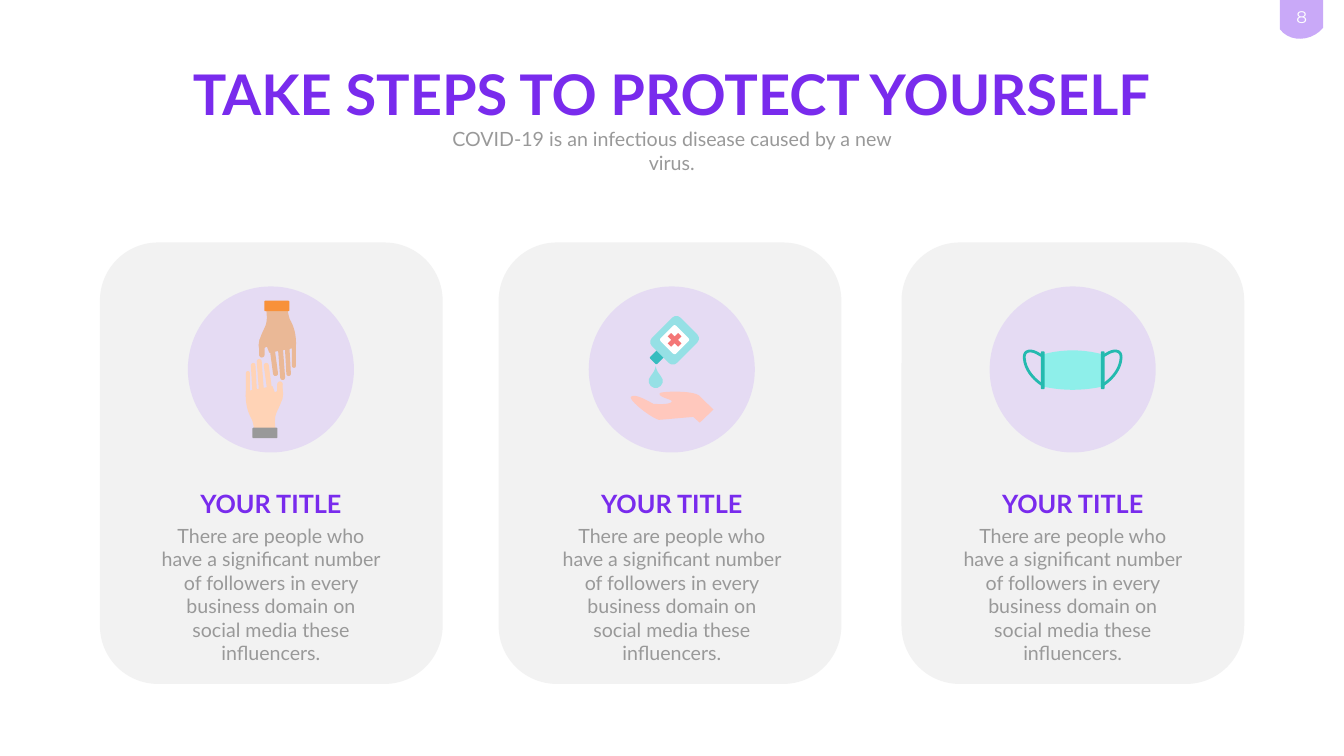
from math import atan2, degrees, hypot
from lxml.etree import SubElement
from pptx import Presentation
from pptx.dml.color import RGBColor
from pptx.enum.shapes import MSO_SHAPE
from pptx.enum.text import MSO_AUTO_SIZE, PP_ALIGN
from pptx.oxml.ns import qn
from pptx.util import Cm, Pt

PURPLE = RGBColor(0x79, 0x2B, 0xED)
LILAC = RGBColor(0xC9, 0xA9, 0xF8)
GRAY = RGBColor(0x99, 0x99, 0x99)
CARD = RGBColor(0xF2, 0xF2, 0xF2)
WHITE = RGBColor(0xFF, 0xFF, 0xFF)
TAN = RGBColor(0xEA, 0xB8, 0x96)
PEACH = RGBColor(0xFF, 0xD3, 0xB6)
ORANGE = RGBColor(0xF8, 0x91, 0x3A)
PINK = RGBColor(0xFF, 0xC8, 0xBD)
AQUA = RGBColor(0x95, 0xE0, 0xE5)
TEAL = RGBColor(0x36, 0xBC, 0xBF)
RED = RGBColor(0xF4, 0x76, 0x76)
MINT = RGBColor(0x8E, 0xEF, 0xEA)
GREEN = RGBColor(0x24, 0xBA, 0xAF)

CURVE_STEPS = 10
CARD_CENTERS = (13.67, 33.76, 54.06)
CARD_TOP, CARD_W, CARD_H = 12.22, 17.27, 22.25
FIRST_COLUMN, COLUMN_STEP = 13.65, 20.2
ICON_Y, ICON_SIZE = 18.62, 8.37
BODY = ("There are people who have a significant number of followers "
        "in every business domain on social media these influencers.")


def bezier(a, b, c, d, t):
    u = 1 - t
    return u**3 * a + 3 * u * u * t * b + 3 * u * t * t * c + t**3 * d


def flatten(segments):
    pts = [segments[0]]
    for seg in segments[1:]:
        if len(seg) == 2:
            pts.append(seg)
            continue
        x, y = pts[-1]
        for i in range(1, CURVE_STEPS + 1):
            t = i / CURVE_STEPS
            pts.append((bezier(x, *seg[::2], t), bezier(y, *seg[1::2], t)))
    return pts


class Deck:
    font = "Lato"

    def __init__(self, slide):
        self.s = slide
        self.place(0, 0)

    def place(self, x, y, flip_x=1, flip_y=1):
        self.x, self.y = x, y
        self.flip_x, self.flip_y = flip_x, flip_y

    def at(self, x, y):
        return Cm(self.x + self.flip_x * x), Cm(self.y + self.flip_y * y)

    def paint(self, sp, color, alpha=None):
        sp.shadow.inherit = False
        sp.fill.solid()
        sp.fill.fore_color.rgb = color
        sp.line.fill.background()
        if alpha is not None:
            clr = sp.fill._xPr.find(qn("a:solidFill"))[0]
            SubElement(clr, qn("a:alpha")).set("val", str(alpha * 1000))

    def shape(self, kind, x, y, w, h, color, adj=None, rotation=0, alpha=None):
        cx, cy = self.at(x, y)
        w, h = Cm(w), Cm(h)
        sp = self.s.shapes.add_shape(kind, cx - w // 2, cy - h // 2, w, h)
        sp.rotation = rotation
        if adj is not None:
            sp.adjustments[0] = adj
        self.paint(sp, color, alpha)

    def rounded(self, x, y, w, h, color, corner=0.1, rotation=0):
        self.shape(MSO_SHAPE.ROUNDED_RECTANGLE, x, y, w, h, color, corner, rotation)

    def finger(self, tip, base, width, color):
        dx, dy = base[0] - tip[0], base[1] - tip[1]
        self.rounded((tip[0] + base[0]) / 2, (tip[1] + base[1]) / 2,
                     hypot(dx, dy), width, color, 0.5, degrees(atan2(dy, dx)))

    def freeform(self, segments, close):
        pts = [self.at(x, y) for x, y in flatten(segments)]
        builder = self.s.shapes.build_freeform(*pts[0])
        builder.add_line_segments(pts[1:], close=close)
        return builder.convert_to_shape()

    def outline(self, segments, color):
        self.paint(self.freeform(segments, True), color)

    def stroke(self, segments, color, width):
        sp = self.freeform(segments, False)
        sp.shadow.inherit = False
        sp.fill.background()
        sp.line.color.rgb = color
        sp.line.width = Pt(width)

    def text(self, x, y, w, h, text, size, color, bold=False, font=None):
        cx, top = self.at(x, y)
        sp = self.s.shapes.add_textbox(cx - Cm(w) // 2, top, Cm(w), Cm(h))
        tf = sp.text_frame
        tf.word_wrap = True
        tf.auto_size = MSO_AUTO_SIZE.SHAPE_TO_FIT_TEXT
        p = tf.paragraphs[0]
        p.text = text
        p.alignment = PP_ALIGN.CENTER
        p.font.name = font or self.font
        p.font.size = Pt(size)
        p.font.bold = bold
        p.font.color.rgb = color


def draw_hand(d, skin, cuff):
    knuckles = 1.45
    pinky = (-1.16, 0.08), (-1.16, knuckles), 0.2
    ring = (-0.9, -0.33), (-0.8, knuckles), 0.23
    middle = (-0.6, -0.53), (-0.45, knuckles), 0.25
    index = (-0.25, -0.33), (-0.01, knuckles), 0.25
    thumb = (0.46, 0.6), (0.44, 1.6), 0.28
    for tip, base, width in (pinky, ring, middle, index, thumb):
        d.finger(tip, base, width, skin)

    finger_edge = [(-1.26, 1.1), (0.08, 0.84), (0.2, 1.15), (0.58, 0.95), (0.62, 1.22)]
    thumb_side = [(0.57, 1.7, 0.29, 2.08, 0.24, 2.31), (0.17, 2.57, 0.22, 2.9, 0.27, 3.33)]
    wrist = [(-0.78, 3.33)]
    pinky_side = [(-0.86, 2.9, -0.88, 2.75, -0.95, 2.54), (-1.02, 2.39, -1.32, 1.95, -1.26, 1.1)]
    d.outline(finger_edge + thumb_side + wrist + pinky_side, skin)
    d.rounded(-0.3, 3.2, 1.26, 0.53, cuff)


def draw_washing(d, x, y):
    for flip, skin, cuff in ((-1, TAN, ORANGE), (1, PEACH, GRAY)):
        d.place(x, y, flip, flip)
        draw_hand(d, skin, cuff)


def draw_sanitizer(d, x, y):
    d.place(x, y)
    underside = [(-2.07, 1.4), (-2.1, 1.6, -1.1, 2.4, -0.65, 2.54), (1.08, 2.39)]
    wrist = [(1.41, 2.68), (2.1, 2.02), (1.36, 1.3)]
    thumb = [(1, 1.05, -0.5, 1.1, -0.6, 1.19), (-0.65, 1.3, -0.55, 1.37, -0.11, 1.52)]
    fingers = [(0.14, 1.6, 0, 1.8, -0.93, 1.73), (-1.13, 1.63, -1.92, 1.14, -2.07, 1.4)]
    d.outline(underside + wrist + thumb + fingers, PINK)
    d.shape(MSO_SHAPE.TEAR, -0.81, 0.58, 0.71, 0.71, AQUA, 1.5, -45)

    tilt = 45
    d.rounded(-0.74, -0.63, 0.5, 0.6, TEAL, rotation=tilt)
    d.rounded(0.14, -1.47, 1.78, 2.03, AQUA, 0.16, tilt)
    d.rounded(0.14, -1.5, 1.1, 1.1, WHITE, rotation=tilt)
    d.shape(MSO_SHAPE.CROSS, 0.14, -1.49, 0.74, 0.74, RED, 0.34, tilt)


def draw_mask(d, x, y):
    half, top, bottom = 1.51, -0.76, 0.86
    d.place(x, y)
    d.outline([(-half, top), (-0.5, -1.03, 0.5, -1.03, half, top),
               (half, bottom), (0.5, 1.08, -0.5, 1.08, -half, bottom)], MINT)
    ear_loop = [(half, 0.78), (1.75, 0.65, 2.39, 0.15, 2.44, -0.58),
                (2.44, -0.75, 2.4, -0.85, 2.29, -0.9),
                (2, -1.02, 1.7, -0.75, half, -0.67)]
    for side in (-1, 1):
        d.place(x, y, flip_x=side)
        d.rounded(half, 0.04, 0.19, 1.91, GREEN, 0.3)
        d.stroke(ear_loop, GREEN, 4)


def draw_page_tag(d):
    d.place(65.59, 0)
    d.outline([(-1.1, 0), (1.08, 0), (1.08, 1.4), (0.5, 2.1, -0.6, 2.15, -1.1, 1.47)], LILAC)
    d.text(0, 0.2, 2.62, 1.3, "8", 24, WHITE, font="Montserrat")


def draw_header(d):
    d.place(33.85, 0)
    d.text(0, 2.9, 50.17, 3.68, "TAKE STEPS TO PROTECT YOURSELF", 80, PURPLE, True)
    d.text(0, 6.27, 24.26, 1.45,
           "COVID-19 is an infectious disease caused by a new virus.", 28, GRAY)


def draw_card(d, card_x, column_x, draw_icon):
    d.place(0, 0)
    d.rounded(card_x, CARD_TOP + CARD_H / 2, CARD_W, CARD_H, CARD, 0.17)
    d.text(column_x, 24.46, 13.59, 1.8, "YOUR TITLE", 36, PURPLE, True)
    d.text(column_x, 26.26, 11.63, 6.25, BODY, 28, GRAY)
    d.shape(MSO_SHAPE.OVAL, column_x, ICON_Y, ICON_SIZE, ICON_SIZE, LILAC, alpha=30)
    draw_icon(d, column_x, ICON_Y)


def main():
    prs = Presentation()
    prs.slide_width, prs.slide_height = Cm(67.72), Cm(38.1)
    d = Deck(prs.slides.add_slide(prs.slide_layouts[6]))
    draw_page_tag(d)
    draw_header(d)
    icons = (draw_washing, draw_sanitizer, draw_mask)
    for i, (card_x, draw_icon) in enumerate(zip(CARD_CENTERS, icons)):
        draw_card(d, card_x, FIRST_COLUMN + i * COLUMN_STEP, draw_icon)
    prs.save("out.pptx")


if __name__ == "__main__":
    main()
